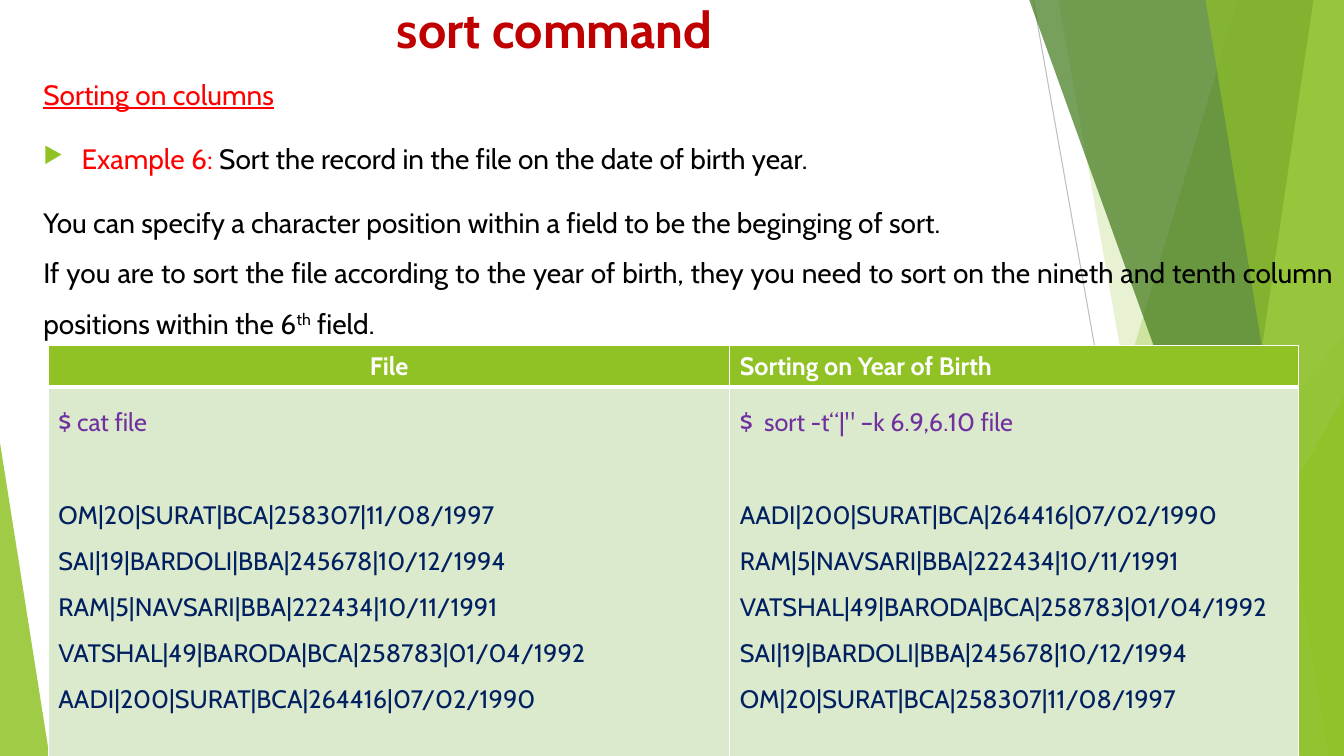
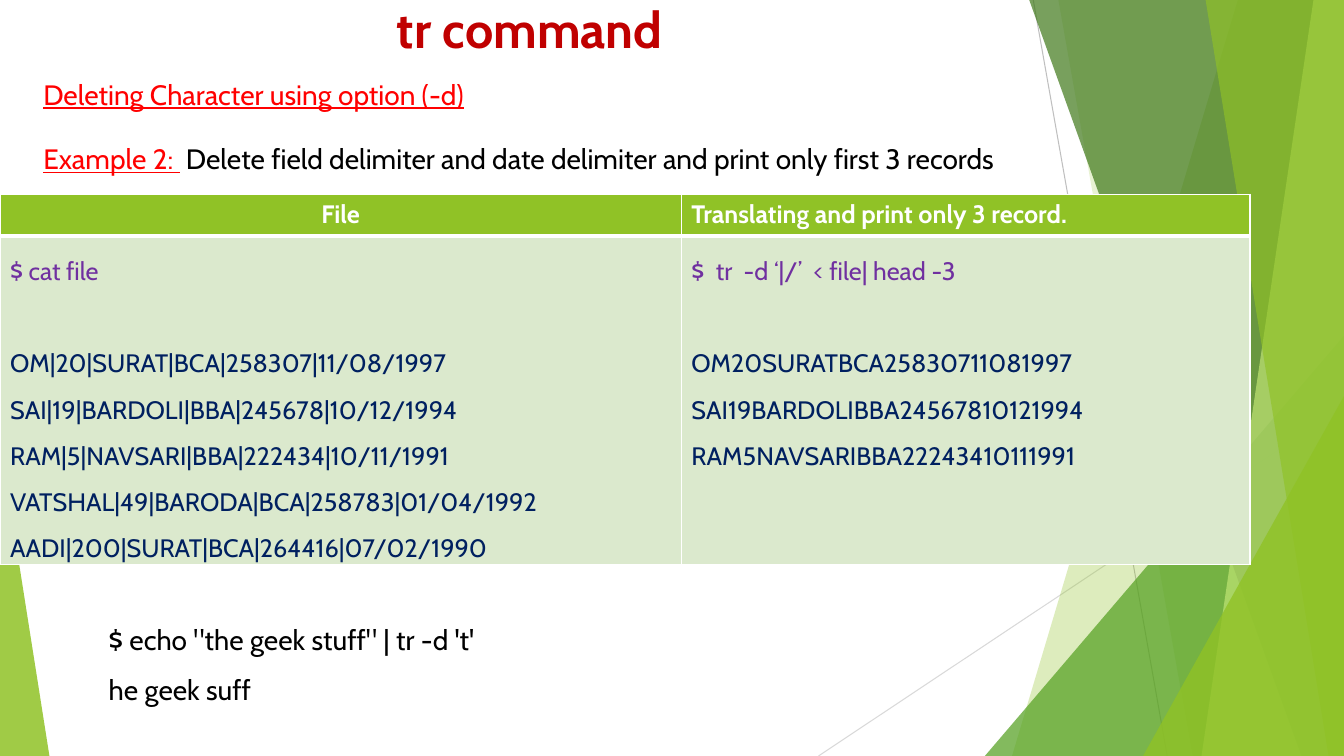
"""Build two slides on the sort and tr commands."""
from dataclasses import dataclass

from lxml.etree import SubElement
from pptx import Presentation
from pptx.dml.color import RGBColor as Rgb
from pptx.enum.shapes import MSO_CONNECTOR as Connector, MSO_SHAPE as Preset
from pptx.enum.text import MSO_ANCHOR as Anchor, PP_ALIGN as Align
from pptx.oxml.ns import qn
from pptx.util import Inches, Pt


@dataclass(frozen=True)
class Theme:
    font: str = "Cabin"
    title_size: int = 36
    body_size: int = 20
    table_size: int = 18
    title: str = "C00000"
    accent: str = "FF0000"
    ink: str = "000000"
    white: str = "FFFFFF"
    command: str = "7030A0"
    record: str = "002060"
    lime: str = "90C226"
    green: str = "54A021"
    forest: str = "3F7819"
    pale: str = "C0E474"
    cell: str = "DBE9CD"
    ray: str = "BFBFBF"
    faint_ray: str = "D9D9D9"


theme = Theme()
deck = Presentation()
deck.slide_width, deck.slide_height = Inches(13.33), Inches(7.5)


def area(*percents):
    """Turn alternating x and y percentages of the slide into lengths."""
    sides = (deck.slide_width, deck.slide_height)
    return [int(sides[i % 2] * share / 100) for i, share in enumerate(percents)]


def write(frame, paragraphs, size=theme.body_size, color=theme.ink, bold=False,
          underline=False, align=Align.JUSTIFY, spacing=1.5, gap=0,
          bulleted=(), anchor=Anchor.TOP):
    """Write paragraphs of (text, overrides) runs, with a gap after the first."""
    frame.word_wrap = True
    frame.vertical_anchor = anchor
    for index, runs in enumerate(paragraphs):
        paragraph = frame.add_paragraph() if index else frame.paragraphs[0]
        paragraph.alignment = align
        paragraph.line_spacing = spacing
        if index == 1:
            paragraph.space_before = Pt(gap)
        if index in bulleted:
            props = paragraph._p.get_or_add_pPr()
            props.set("marL", str(Inches(0.38)))
            props.set("indent", str(-Inches(0.38)))
            tint = SubElement(props, qn("a:buClr"))
            SubElement(tint, qn("a:srgbClr"), val=theme.lime)
            SubElement(props, qn("a:buSzPct"), val="80000")
            SubElement(props, qn("a:buChar"), char="▶")
        for text, change in runs:
            run = paragraph.add_run()
            run.text = text
            run.font.name = theme.font
            run.font.size = Pt(size)
            run.font.bold = bold
            run.font.underline = change.get("underline", underline)
            run.font.color.rgb = Rgb.from_string(change.get("color", color))
            if "baseline" in change:
                run._r.get_or_add_rPr().set("baseline", change["baseline"])


rays = [(theme.ray, (76.88, 0, 86.85, 100)), (theme.faint_ray, (100, 53.73, 60.9, 100))]
facets = [
    (theme.lime, 30, "band", (92.1, 75.3)),
    (theme.lime, 20, "band", (78.75, 88.73)),
    (theme.green, 72, "right wedge", (73.28, 44.4, 26.72, 55.6)),
    (theme.forest, 70, "band", (76.58, 96.83)),
    (theme.pale, 70, "band", (97.73, 89.4)),
    (theme.lime, 65, "band", (89.7, 98.85)),
    (theme.lime, 80, "right wedge", (85.05, 52.4, 14.95, 47.6)),
    (theme.lime, 85, "left wedge", (0, 58.53, 3.68, 41.47)),
]

plain = {"color": theme.ink, "underline": False}
heading = {"color": theme.accent, "gap": 10}
records = [
    "OM|20|SURAT|BCA|258307|11/08/1997",
    "SAI|19|BARDOLI|BBA|245678|10/12/1994",
    "RAM|5|NAVSARI|BBA|222434|10/11/1991",
    "VATSHAL|49|BARODA|BCA|258783|01/04/1992",
    "AADI|200|SURAT|BCA|264416|07/02/1990",
]
by_year = [records[i] for i in (4, 2, 3, 1, 0)]
stripped = [record.replace("|", "").replace("/", "") for record in records[:3]]

pages = [
    {
        "title": "sort command",
        "texts": [
            ((2.48, 7.33, 97.52, 18), [
                [("Sorting on columns", {"underline": True})],
                [("Example 6: ", {}),
                 ("Sort the record in the file on the date of birth year.", plain)],
            ], {**heading, "bulleted": (1,)}),
            ((2.48, 24.27, 97.52, 21.6), [
                [("You can specify a character position within a field to be "
                  "the beginging of sort.", {})],
                [("If you are to sort the file according to the year of birth, they you "
                  "need to sort on the nineth and tenth column positions within the 6", {}),
                 ("th", {"baseline": "30000"}), (" field.", {})],
            ], {}),
        ],
        "corner": (3.6, 45.73),
        "listing_height": 49.33,
        "result_title": "Sorting on Year of Birth",
        "result": ["$  sort -t“|\" –k 6.9,6.10 file", *by_year],
    },
    {
        "title": "tr command",
        "texts": [
            ((2.48, 7.33, 97.52, 18), [
                [("Deleting Character using option (-d)", {})],
                [("Example 2: ", {}),
                 (" Delete field delimiter and date delimiter and print only "
                  "first 3 records", plain)],
            ], {**heading, "underline": True}),
            ((7.35, 79.47, 50, 14), [
                [("$ echo \"the geek stuff\" | tr -d 't'", {})],
                [("he geek suff", {})],
            ], {"align": Align.LEFT}),
        ],
        "corner": (0, 25.73),
        "listing_height": 43.33,
        "result_title": "Translating and print only 3 record.",
        "result": ["$  tr  -d ‘|/’  < file| head -3", *stripped],
    },
]

for page in pages:
    slide = deck.slides.add_slide(deck.slide_layouts[6])
    shapes = slide.shapes

    for color, ends in rays:
        ray = shapes.add_connector(Connector.STRAIGHT, *area(*ends))
        ray.line.color.rgb = Rgb.from_string(color)
        ray.line.width = Pt(0.75)
        SubElement(ray._element.spPr, qn("a:effectLst"))

    for color, opacity, kind, extent in facets:
        if kind == "band":
            top, bottom = extent
            outline = shapes.build_freeform(*area(top, 0))
            outline.add_line_segments(
                [area(100, 0), area(100, 100), area(bottom, 100)], close=True)
            facet = outline.convert_to_shape()
        else:
            facet = shapes.add_shape(Preset.ISOSCELES_TRIANGLE, *area(*extent))
            facet.adjustments[0] = 1 if kind == "right wedge" else 0
        facet.shadow.inherit = False
        facet.line.fill.background()
        facet.fill.solid()
        facet.fill.fore_color.rgb = Rgb.from_string(color)
        tint = facet._element.spPr.find(qn("a:solidFill"))[0]
        SubElement(tint, qn("a:alpha"), val=str(opacity * 1000))

    title = shapes.add_textbox(*area(28.8, -1.33, 36.45, 9.73))
    write(title.text_frame, [[(page["title"], {})]], size=theme.title_size,
          color=theme.title, bold=True, align=Align.LEFT, spacing=1, anchor=Anchor.BOTTOM)

    for extent, paragraphs, style in page["texts"]:
        write(shapes.add_textbox(*area(*extent)).text_frame, paragraphs, **style)

    heights = (5.47, page["listing_height"])
    widths = (50.7, 42.3)
    grid = shapes.add_table(2, 2, *area(*page["corner"], sum(widths), sum(heights))).table
    columns = [("File", ["$ cat file", *records]), (page["result_title"], page["result"])]
    for i in range(2):
        grid.columns[i].width, grid.rows[i].height = area(widths[i], heights[i])
    for column, (caption, (command, *lines)) in enumerate(columns):
        header, listing = grid.cell(0, column), grid.cell(1, column)
        for cell, fill, thick in ((header, theme.lime, "lnB"), (listing, theme.cell, "lnT")):
            props = cell._tc.get_or_add_tcPr()
            for side in ("lnL", "lnR", "lnT", "lnB"):
                border = SubElement(props, qn(f"a:{side}"), w=str(Pt(3 if side == thick else 1)))
                SubElement(SubElement(border, qn("a:solidFill")), qn("a:srgbClr"), val=theme.white)
            cell.fill.solid()
            cell.fill.fore_color.rgb = Rgb.from_string(fill)
        write(header.text_frame, [[(caption, {})]], size=theme.table_size, color=theme.white,
              bold=True, spacing=1, align=Align.LEFT if column else Align.CENTER)
        write(listing.text_frame,
              [[(command, {"color": theme.command})], *([(line, {})] for line in lines)],
              size=theme.table_size, color=theme.record, gap=33)

deck.save("out.pptx")
